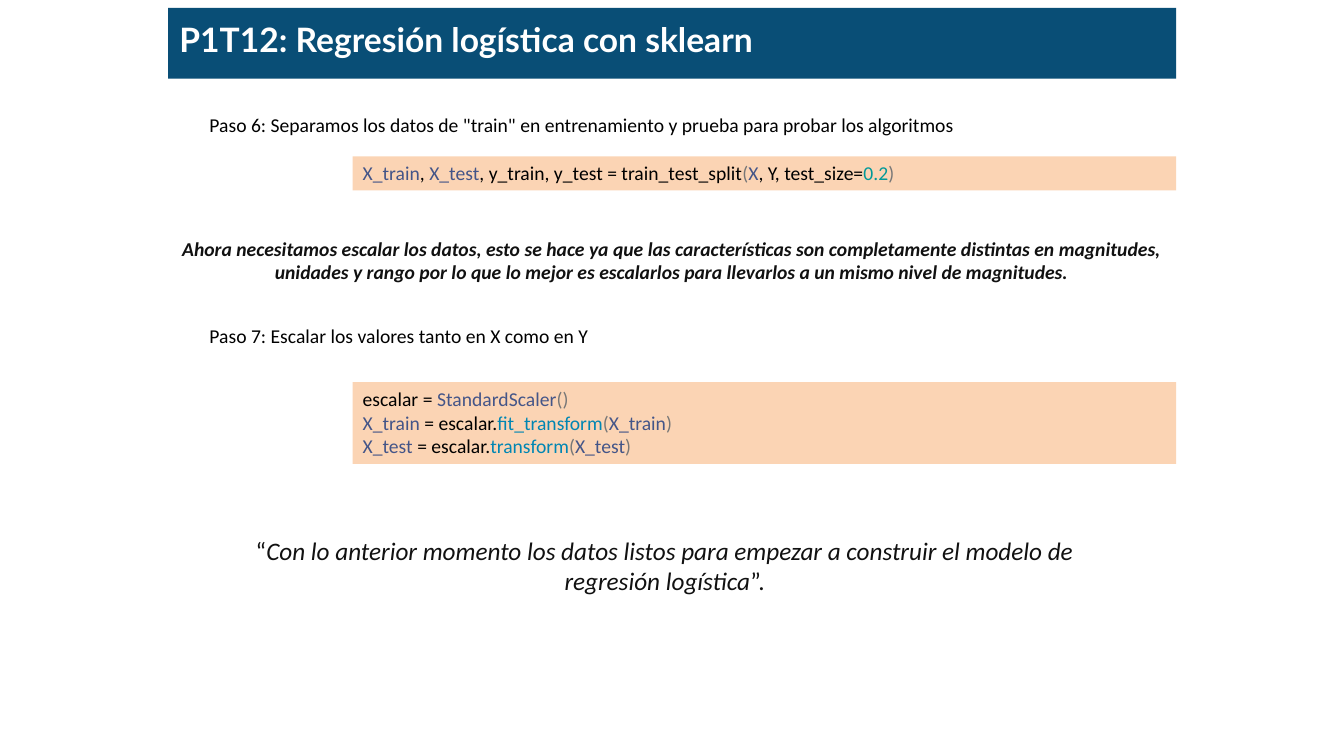
"""Build the slide on scaling data for logistic regression with sklearn."""
from pptx import Presentation
from pptx.dml.color import RGBColor
from pptx.enum.shapes import MSO_SHAPE
from pptx.enum.text import MSO_ANCHOR, MSO_AUTO_SIZE, PP_ALIGN
from pptx.util import Cm, Pt

BLACK, INK, WHITE = "000000", "111111", "FFFFFF"
NAME, MARK, NUMBER, METHOD = "445588", "777777", "009999", "0086B3"
BANNER, CODE_FILL = "094E76", "FBD4B4"


def color(value):
    return RGBColor.from_string(value)


def add_span(para, text, size=14, font="Calibri", ink=BLACK, bold=False, italic=False):
    span = para.add_run()
    span.text = text
    span.font.size = Pt(size)
    span.font.name = font
    span.font.color.rgb = color(ink)
    span.font.bold = bold
    span.font.italic = italic


deck = Presentation()
deck.slide_width, deck.slide_height = Cm(33.87), Cm(19.05)
page = deck.slides.add_slide(deck.slide_layouts[5])

title = page.shapes.title
title.left, title.top, title.width, title.height = Cm(4.24), Cm(0.2), Cm(25.4), Cm(1.78)
title.fill.solid()
title.fill.fore_color.rgb = color(BANNER)
frame = title.text_frame
frame.word_wrap = True
frame.auto_size = MSO_AUTO_SIZE.NONE
frame.vertical_anchor = MSO_ANCHOR.MIDDLE
frame.margin_left = frame.margin_right = Cm(0.28)
frame.margin_top = frame.margin_bottom = Cm(0.15)
para = frame.paragraphs[0]
para.alignment = PP_ALIGN.LEFT
para.line_spacing = 0.8
add_span(para, "P1T12: Regresión logística con sklearn", size=24, font="Lato", ink=WHITE, bold=True)

steps = [
    (2.72, 24.13, 'Paso 6: Separamos los datos de "train" en entrenamiento y prueba para probar los algoritmos'),
    (8.05, 24.59, "Paso 7: Escalar los valores tanto en X como en Y"),
]
for top, width, text in steps:
    box = page.shapes.add_textbox(Cm(5.03), Cm(top), Cm(width), Cm(0.86))
    box.text_frame.word_wrap = True
    add_span(box.text_frame.paragraphs[0], text)

split_code = [
    [("X_train", NAME), (", ", BLACK), ("X_test", NAME),
     (", y_train, y_test = train_test_split", BLACK), ("(", MARK), ("X", NAME),
     (", Y, test_size=", BLACK), ("0.2", NUMBER), (")", MARK)],
]
scale_code = [[("escalar = ", BLACK), ("StandardScaler", NAME), ("()", MARK)]]
for variable, method in [("X_train", "fit_transform"), ("X_test", "transform")]:
    scale_code.append([(variable, NAME), (" = escalar.", BLACK), (method, METHOD),
                       ("(", MARK), (variable, NAME), (")", MARK)])

for top, height, lines in [(3.94, 0.86, split_code), (9.63, 2.06, scale_code)]:
    box = page.shapes.add_shape(MSO_SHAPE.RECTANGLE, Cm(8.89), Cm(top), Cm(20.75), Cm(height))
    box.shadow.inherit = False
    box.fill.solid()
    box.fill.fore_color.rgb = color(CODE_FILL)
    box.line.fill.background()
    frame = box.text_frame
    frame.word_wrap = True
    frame.vertical_anchor = MSO_ANCHOR.TOP
    for index, line in enumerate(lines):
        para = frame.add_paragraph() if index else frame.paragraphs[0]
        para.alignment = PP_ALIGN.LEFT
        for text, ink in line:
            add_span(para, text, ink=ink)

reason = page.shapes.add_textbox(Cm(4.24), Cm(5.84), Cm(25.4), Cm(1.45))
reason.text_frame.word_wrap = True
para = reason.text_frame.paragraphs[0]
para.alignment = PP_ALIGN.CENTER
add_span(para, "Ahora necesitamos escalar los datos, esto se hace ya que las características son "
         "completamente distintas en magnitudes, unidades y rango por lo que lo mejor es "
         "escalarlos para llevarlos a un mismo nivel de magnitudes.",
         ink=INK, bold=True, italic=True)

closing = page.shapes.add_textbox(Cm(5.03), Cm(13.36), Cm(23.44), Cm(1.8))
closing.text_frame.word_wrap = True
para = closing.text_frame.paragraphs[0]
para.alignment = PP_ALIGN.CENTER
add_span(para, "“", size=18, ink=INK)
add_span(para, "Con lo anterior momento los datos listos para empezar a construir el modelo "
         "de regresión logística", size=18, ink=INK, italic=True)
add_span(para, "”.", size=18, ink=INK)

deck.save("out.pptx")
